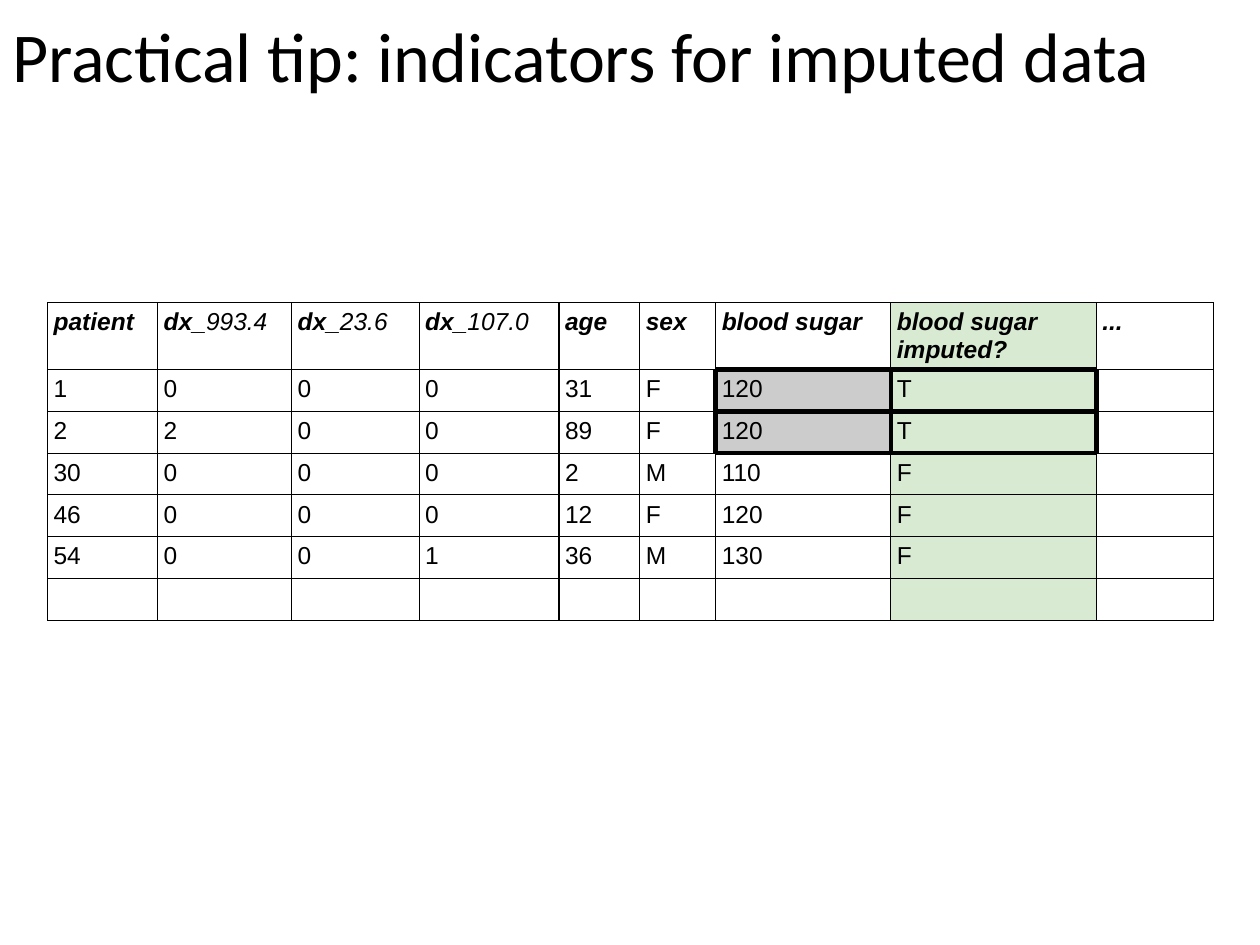
from lxml.etree import SubElement
from pptx import Presentation
from pptx.dml.color import RGBColor
from pptx.enum.text import MSO_ANCHOR, MSO_AUTO_SIZE, PP_ALIGN
from pptx.oxml.ns import qn
from pptx.util import Cm, Pt

COLORS = {"ink": "000000", "paper": "FFFFFF", "imputed": "CCCCCC", "indicator": "D9EAD3"}
COLUMN_WIDTHS = [2.22, 2.7, 2.57, 2.82, 1.63, 1.53, 3.53, 4.14, 2.36]
HEADER_HEIGHT, ROW_HEIGHT = 1.35, 0.81
VALUE_COLUMN, INDICATOR_COLUMN = 6, 7
THIN, THICK = 0.75, 3
EDGES = {"L": (0, -1), "R": (0, 1), "T": (-1, 0), "B": (1, 0)}

HEADERS = ["patient", "dx_|993.4", "dx_|23.6", "dx_|107.0", "age", "sex",
           "blood sugar", "blood sugar imputed?", "..."]
PATIENTS = [
    ["1", "0", "0", "0", "31", "F", "120", "T", ""],
    ["2", "2", "0", "0", "89", "F", "120", "T", ""],
    ["30", "0", "0", "0", "2", "M", "110", "F", ""],
    ["46", "0", "0", "0", "12", "F", "120", "F", ""],
    ["54", "0", "0", "1", "36", "M", "130", "F", ""],
    [""] * len(HEADERS),
]
ROWS = [HEADERS] + PATIENTS


def color(name):
    return RGBColor.from_string(COLORS[name])


def apply(target, formats):
    for name, value in formats.items():
        setattr(target, name, value)


def margins(length):
    return {f"margin_{side}": length for side in ("left", "right", "top", "bottom")}


def write_span(para, text, **formats):
    span = para.add_run()
    span.text = text
    apply(span.font, formats)
    span.font.color.rgb = color("ink")


def add_title(page, text):
    title = page.shapes.title
    apply(title, {"left": Cm(0), "top": Cm(0), "width": Cm(25.4), "height": Cm(3.18)})
    frame = title.text_frame
    apply(frame, {"word_wrap": True, "auto_size": MSO_AUTO_SIZE.NONE,
                  "vertical_anchor": MSO_ANCHOR.TOP, **margins(Cm(0.25))})
    para = frame.paragraphs[0]
    para.alignment = PP_ALIGN.LEFT
    write_span(para, text, name="Calibri", size=Pt(40))


def is_imputed(row, column):
    return (0 <= row < len(ROWS) and column in (VALUE_COLUMN, INDICATOR_COLUMN)
            and ROWS[row][INDICATOR_COLUMN] == "T")


def draw_borders(cell, row, column):
    properties = cell._tc.get_or_add_tcPr()
    for edge, (down, across) in EDGES.items():
        heavy = is_imputed(row, column) or is_imputed(row + down, column + across)
        line = SubElement(properties, qn(f"a:ln{edge}"), w=str(Pt(THICK if heavy else THIN)))
        fill = SubElement(line, qn("a:solidFill"))
        SubElement(fill, qn("a:srgbClr"), val=COLORS["ink"])


def fill_name(row, column):
    if column == INDICATOR_COLUMN:
        return "indicator"
    return "imputed" if is_imputed(row, column) else "paper"


def write_cell(cell, text, header):
    para = cell.text_frame.paragraphs[0]
    if not text:
        SubElement(para._p, qn("a:endParaRPr"), sz="1400")
        return
    for index, part in enumerate(text.split("|")):
        write_span(para, part, name="Arial", size=Pt(14),
                   bold=header and index == 0, italic=header)


def add_patient_table(page):
    height = HEADER_HEIGHT + ROW_HEIGHT * len(PATIENTS)
    table = page.shapes.add_table(len(ROWS), len(HEADERS), Cm(0.96), Cm(6.1),
                                  Cm(sum(COLUMN_WIDTHS)), Cm(height)).table
    apply(table, {"first_row": False, "horz_banding": False})
    for column, width in zip(table.columns, COLUMN_WIDTHS):
        column.width = Cm(width)
    for row, texts in enumerate(ROWS):
        table.rows[row].height = Cm(ROW_HEIGHT if row else HEADER_HEIGHT)
        for column, text in enumerate(texts):
            cell = table.cell(row, column)
            apply(cell, {"vertical_anchor": MSO_ANCHOR.TOP, **margins(Cm(0.12))})
            draw_borders(cell, row, column)
            cell.fill.solid()
            cell.fill.fore_color.rgb = color(fill_name(row, column))
            write_cell(cell, text, header=row == 0)


def main():
    deck = Presentation()
    apply(deck, {"slide_width": Cm(25.4), "slide_height": Cm(19.05)})
    page = deck.slides.add_slide(deck.slide_layouts[5])
    add_title(page, "Practical tip: indicators for imputed data")
    add_patient_table(page)
    deck.save("out.pptx")


if __name__ == "__main__":
    main()
